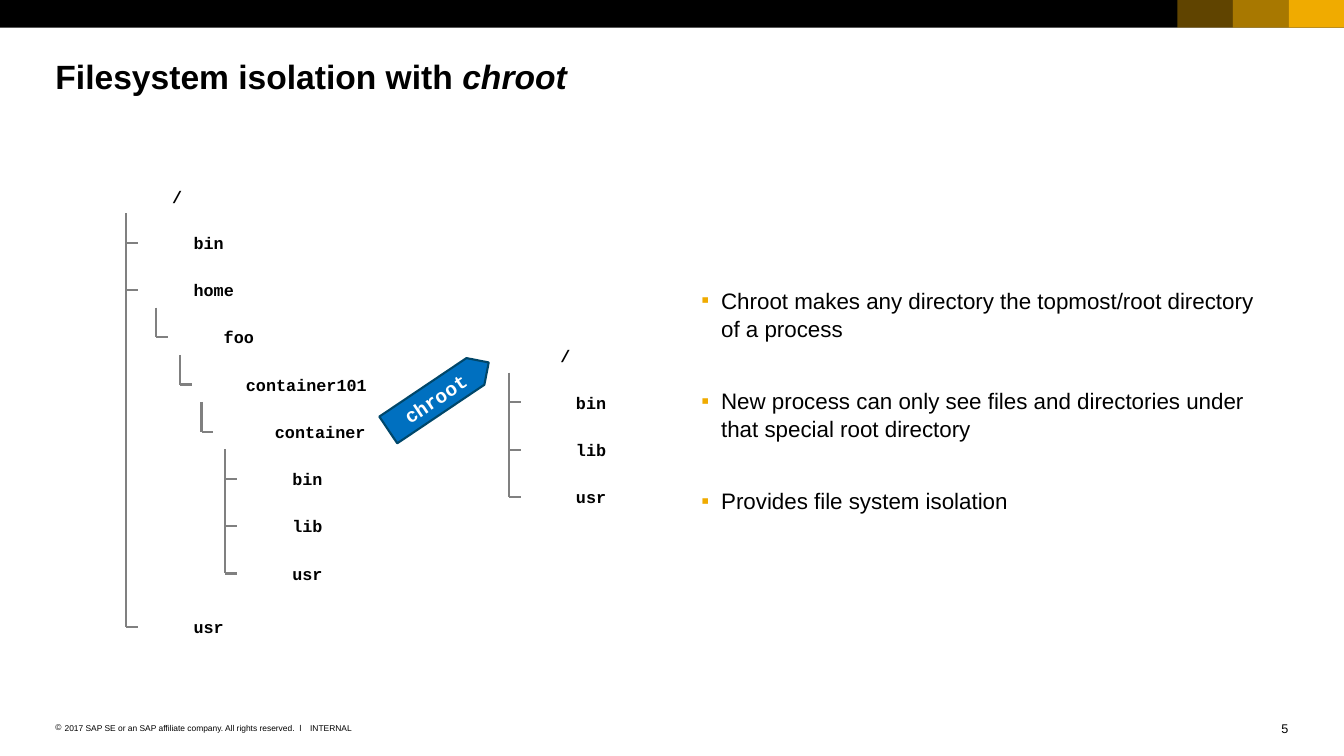
import pptx
import pptx.dml.color
import pptx.enum.shapes
import pptx.enum.text
import pptx.oxml
import pptx.oxml.ns
import pptx.util
from lxml import etree

Cm = pptx.util.Cm
Pt = pptx.util.Pt
ALIGN = pptx.enum.text.PP_ALIGN
ANCHOR = pptx.enum.text.MSO_ANCHOR
SHAPE = pptx.enum.shapes.MSO_SHAPE

COLORS = {
    "black": "000000", "white": "FFFFFF", "gold": "F0AB00",
    "branch": "808080", "arrow": "0070C0", "arrow_edge": "00476A",
}
TITLE = {"name": "Arial", "size": Pt(24), "bold": True}
BODY = {"name": "Arial", "size": Pt(16)}
FOOTER = {"name": "Arial", "size": Pt(6)}
NUMBER = {"name": "Arial", "size": Pt(9)}
FOLDER = {"name": "Courier New", "size": Pt(12), "bold": True}
ARROW = {"name": "Courier New", "size": Pt(14), "bold": True}

ROW_STEP = 1.19
FIRST_ROW = 1.55
TRUNK_RISE = 0.75
TICK = 0.3
LABEL_HEIGHT = 0.77

HOST_BRANCHES = [
    (0, 1.45, [(0, "bin"), (1, "home"), (8.13, "usr")]),
    (0.76, 1.45, [(2, "foo")]),
    (1.35, 1.42, [(3, "container101")]),
    (1.9, 1.6, [(4, "container")]),
    (2.49, 1.45, [(5, "bin"), (6, "lib"), (7, "usr")]),
]
JAIL_BRANCHES = [(0, 1.43, [(0, "bin"), (1, "lib"), (2, "usr")])]
POINTS = [
    "Chroot makes any directory the topmost/root directory of a process",
    "New process can only see files and directories under that special root directory",
    "Provides file system isolation",
]


def color(name):
    return pptx.dml.color.RGBColor.from_string(COLORS[name])


def set_font(font, format_values, color_name="black"):
    for attribute, value in format_values.items():
        setattr(font, attribute, value)
    font.color.rgb = color(color_name)


def set_frame(frame, **values):
    settings = {"margin_left": 0, "margin_right": 0, "margin_top": 0,
                "margin_bottom": 0, "word_wrap": True}
    settings.update(values)
    for attribute, value in settings.items():
        setattr(frame, attribute, value)


def add_text(page, box, text, format_values, **values):
    frame = page.shapes.add_textbox(*map(Cm, box)).text_frame
    set_frame(frame, **values)
    para = frame.paragraphs[0]
    para.text = text
    set_font(para.font, format_values)
    return para


def add_bullet(para, character, color_name, indent):
    properties = para._p.get_or_add_pPr()
    properties.set("marL", str(Cm(indent)))
    properties.set("indent", str(-Cm(indent)))
    bullet_color = etree.SubElement(properties, pptx.oxml.ns.qn("a:buClr"))
    etree.SubElement(bullet_color, pptx.oxml.ns.qn("a:srgbClr"), val=COLORS[color_name])
    etree.SubElement(properties, pptx.oxml.ns.qn("a:buFont"), typeface="Arial")
    etree.SubElement(properties, pptx.oxml.ns.qn("a:buChar"), char=character)


def add_block(page, box, color_name, opacity=100):
    block = page.shapes.add_shape(SHAPE.RECTANGLE, *map(Cm, box))
    block.shadow.inherit = False
    block.fill.solid()
    block.fill.fore_color.rgb = color(color_name)
    block.line.fill.background()
    if opacity < 100:
        fill = block._element.spPr.find(".//" + pptx.oxml.ns.qn("a:srgbClr"))
        etree.SubElement(fill, pptx.oxml.ns.qn("a:alpha"), val=str(opacity * 1000))


def add_line(page, start, end):
    line = page.shapes.add_connector(
        pptx.enum.shapes.MSO_CONNECTOR.STRAIGHT, *map(Cm, start + end))
    line.line.color.rgb = color("branch")
    line.line.width = Pt(1.5)
    etree.SubElement(line._element.spPr, pptx.oxml.ns.qn("a:effectLst"))


def draw_top_bar(page, box):
    left, top, width, height = box
    add_block(page, box, "black")
    block = 1.4
    for place, opacity in enumerate((100, 70, 40), start=1):
        add_block(page, (left + width - place * block, top, block, height), "gold", opacity)


def draw_title(page, box):
    para = add_text(page, box, "Filesystem isolation with ", TITLE)
    span = para.add_run()
    span.text = "chroot"
    span.font.italic = True


def draw_label(page, left, middle, text):
    width = 0.51 + 0.254 * len(text)
    box = (left, middle - LABEL_HEIGHT / 2, width, LABEL_HEIGHT)
    add_text(page, box, text, FOLDER, margin_left=Cm(0.25), margin_right=Cm(0.25),
             vertical_anchor=ANCHOR.MIDDLE, word_wrap=False)


def draw_tree(page, box, root_gap, branches):
    left, top = box
    draw_label(page, left + root_gap, top + LABEL_HEIGHT / 2, "/")
    for offset, label_gap, folders in branches:
        trunk = left + offset
        rows = [top + FIRST_ROW + ROW_STEP * row for row, name in folders]
        add_line(page, (trunk, rows[0] - TRUNK_RISE), (trunk, rows[-1]))
        for middle, (row, name) in zip(rows, folders):
            add_line(page, (trunk, middle), (trunk + TICK, middle))
            draw_label(page, trunk + label_gap, middle, name)


def draw_arrow(page, box):
    arrow = page.shapes.add_shape(SHAPE.PENTAGON, *map(Cm, box))
    arrow.rotation = 326.1
    arrow.shadow.inherit = False
    arrow.fill.solid()
    arrow.fill.fore_color.rgb = color("arrow")
    arrow.line.color.rgb = color("arrow_edge")
    arrow.line.width = Pt(1.5)
    set_frame(arrow.text_frame, vertical_anchor=ANCHOR.MIDDLE, word_wrap=False)
    para = arrow.text_frame.paragraphs[0]
    para.text = "chroot"
    para.alignment = ALIGN.CENTER
    set_font(para.font, ARROW, "white")


def draw_points(page, box):
    frame = page.shapes.add_textbox(*map(Cm, box)).text_frame
    set_frame(frame, vertical_anchor=ANCHOR.MIDDLE)
    for place, point in enumerate(POINTS):
        para = frame.add_paragraph() if place else frame.paragraphs[0]
        para.text = point
        para.line_spacing = 1.05
        if place:
            para.space_before = Pt(31.3)
        add_bullet(para, "▪", "gold", 0.5)
        set_font(para.font, BODY)


def draw_footer(page, box):
    left, top, width, height = box
    notice = add_text(page, (left, top, 6.3, height), "", FOOTER)
    notice.text = "2017 SAP SE or an SAP affiliate company. All rights reserved.  ǀ"
    properties = notice._p.get_or_add_pPr()
    properties.clear()
    add_bullet(notice, "©", "black", 0.23)
    set_font(notice.font, FOOTER)
    add_text(page, (left + 6.42, top, 1.07, height), "INTERNAL", FOOTER, word_wrap=False)
    number = add_text(page, (left + width - 0.38, top - 0.05, 0.38, 0.38), "5",
                      NUMBER, word_wrap=False)
    number.alignment = ALIGN.RIGHT


def main():
    deck = pptx.Presentation()
    deck.slide_width = Cm(33.88)
    deck.slide_height = Cm(19.05)
    page = deck.slides.add_slide(deck.slide_layouts[6])
    draw_top_bar(page, (0, 0, 33.88, 0.7))
    draw_title(page, (1.4, 1.4, 31.08, 1.02))
    draw_tree(page, (12.84, 8.59), 1.04, JAIL_BRANCHES)
    draw_arrow(page, (9.53, 9.58, 3.05, 0.81))
    draw_tree(page, (3.18, 4.57), 0.91, HOST_BRANCHES)
    draw_points(page, (17.68, 4.5, 14.53, 11.15))
    draw_footer(page, (1.4, 18.21, 31.08, 0.25))
    deck.save("out.pptx")


if __name__ == "__main__":
    main()
